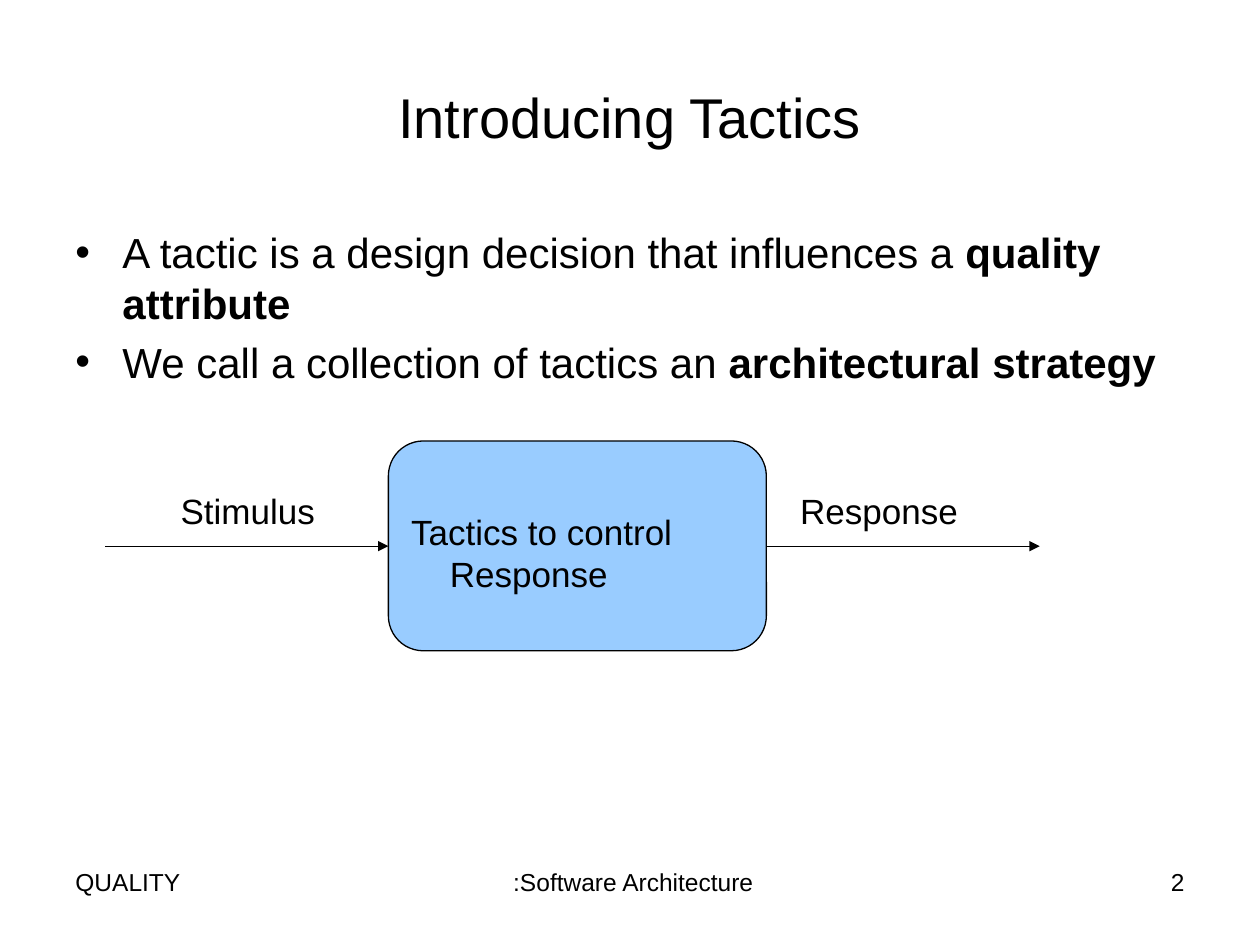
from lxml import etree
from pptx import Presentation
from pptx import util as u
from pptx.dml.color import RGBColor
from pptx.enum import shapes, text
from pptx.oxml.ns import qn

COLOURS = {"ink": "000000", "box": "99CCFF", "page": "FFFFFF"}
FONT = "Arial"
LINE_WIDTH = u.Pt(0.75)
ALIGN = text.PP_ALIGN
ANCHOR = text.MSO_ANCHOR


def colour(name):
    return RGBColor.from_string(COLOURS[name])


def set_indent(para, left, first, bullet=None):
    """Indent a paragraph by left, its first line by first more."""
    props = para._p.get_or_add_pPr()
    props.set("marL", str(u.Cm(left)))
    props.set("indent", str(u.Cm(first)))
    if bullet:
        etree.SubElement(props, qn("a:buFont")).set("typeface", FONT)
        etree.SubElement(props, qn("a:buChar")).set("char", bullet)


def add_text(page, paragraphs, left, top, width, height, *, size,
             align=ALIGN.LEFT, anchor=ANCHOR.TOP, hanging=0, bullet=None, gap=0):
    """Add a text box; each paragraph is a list of (words, bold) spans."""
    box = page.shapes.add_textbox(u.Cm(left), u.Cm(top), u.Cm(width), u.Cm(height))
    frame = box.text_frame
    frame.word_wrap = True
    frame.vertical_anchor = anchor
    for index, spans in enumerate(paragraphs):
        para = frame.add_paragraph() if index else frame.paragraphs[0]
        para.alignment = align
        if index and gap:
            para.space_before = u.Pt(gap)
        if hanging:
            set_indent(para, hanging, -hanging, bullet)
        for words, bold in spans:
            span = para.add_run()
            span.text = words
            span.font.name = FONT
            span.font.size = u.Pt(size)
            span.font.bold = bold
            span.font.color.rgb = colour("ink")


def add_label(page, words, *place, **style):
    add_text(page, [[(words, False)]], *place, **style)


def add_rounded_box(page, left, top, width, height):
    box = page.shapes.add_shape(shapes.MSO_SHAPE.ROUNDED_RECTANGLE,
                                u.Cm(left), u.Cm(top), u.Cm(width), u.Cm(height))
    box.shadow.inherit = False
    box.fill.solid()
    box.fill.fore_color.rgb = colour("box")
    box.line.color.rgb = colour("ink")
    box.line.width = LINE_WIDTH


def add_arrow(page, start, end, y):
    arrow = page.shapes.add_connector(shapes.MSO_CONNECTOR.STRAIGHT,
                                      u.Cm(start), u.Cm(y), u.Cm(end), u.Cm(y))
    arrow.line.color.rgb = colour("ink")
    arrow.line.width = LINE_WIDTH
    etree.SubElement(arrow.line._get_or_add_ln(), qn("a:tailEnd")).set("type", "triangle")
    etree.SubElement(arrow._element.spPr, qn("a:effectLst"))


def add_diagram(page):
    left, top, width, height = 7.83, 8.89, 7.62, 4.23
    arrow_y = 11.01
    add_rounded_box(page, left, top, width, height)
    add_arrow(page, 2.12, left, arrow_y)
    add_arrow(page, left + width, 20.96, arrow_y)
    add_label(page, "Stimulus", 3.39, 9.74, 3.6, 1.1, size=20)
    add_label(page, "Tactics to control Response", 8.04, 10.16, 6.35, 1.96,
              size=20, hanging=0.78)
    add_label(page, "Response", 15.88, 9.74, 4.23, 1.1, size=20)


def add_footer(page):
    for words, left, width, align in (
        ("QUALITY", 1.27, 5.93, ALIGN.LEFT),
        ("2", 18.2, 5.93, ALIGN.RIGHT),
        (" :Software Architecture", 8.68, 8.04, ALIGN.CENTER),
    ):
        add_label(page, words, left, 17.36, width, 1.32, size=14, align=align)


def main():
    deck = Presentation()
    deck.slide_width, deck.slide_height = u.Cm(25.4), u.Cm(19.05)
    page = deck.slides.add_slide(deck.slide_layouts[6])
    page.background.fill.solid()
    page.background.fill.fore_color.rgb = colour("page")

    add_label(page, "Introducing Tactics", 1.27, 0.76, 22.86, 3.18,
              size=32, align=ALIGN.CENTER, anchor=ANCHOR.MIDDLE)
    add_text(page, [
        [("A tactic is a design decision that influences a ", False),
         ("quality attribute", True)],
        [("We call a collection of tactics an ", False),
         ("architectural strategy", True)],
    ], 1.27, 4.45, 23.29, 13.54, size=24, hanging=0.95, bullet="•", gap=4.8)
    add_diagram(page)
    add_footer(page)
    deck.save("out.pptx")


if __name__ == "__main__":
    main()
